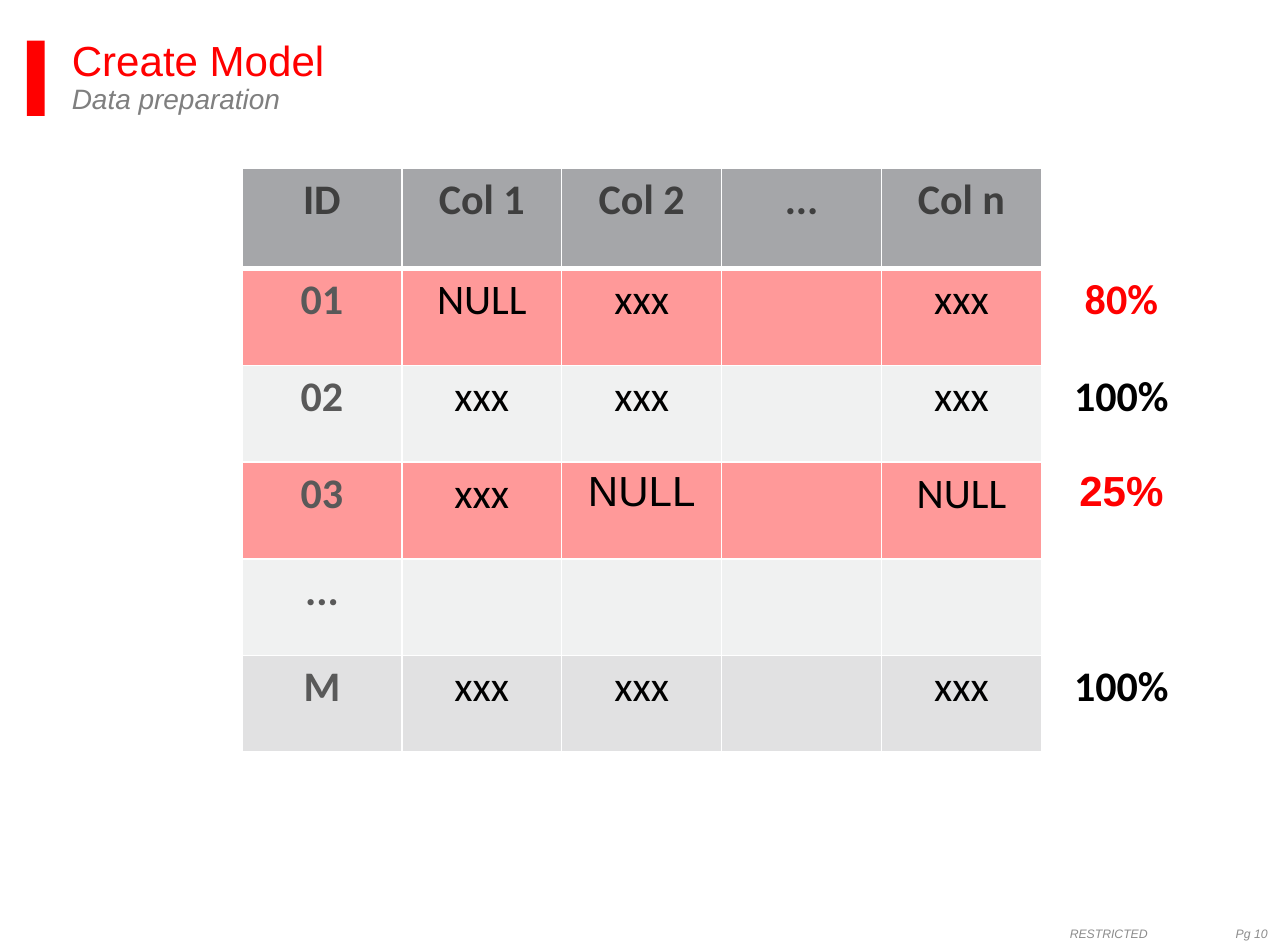
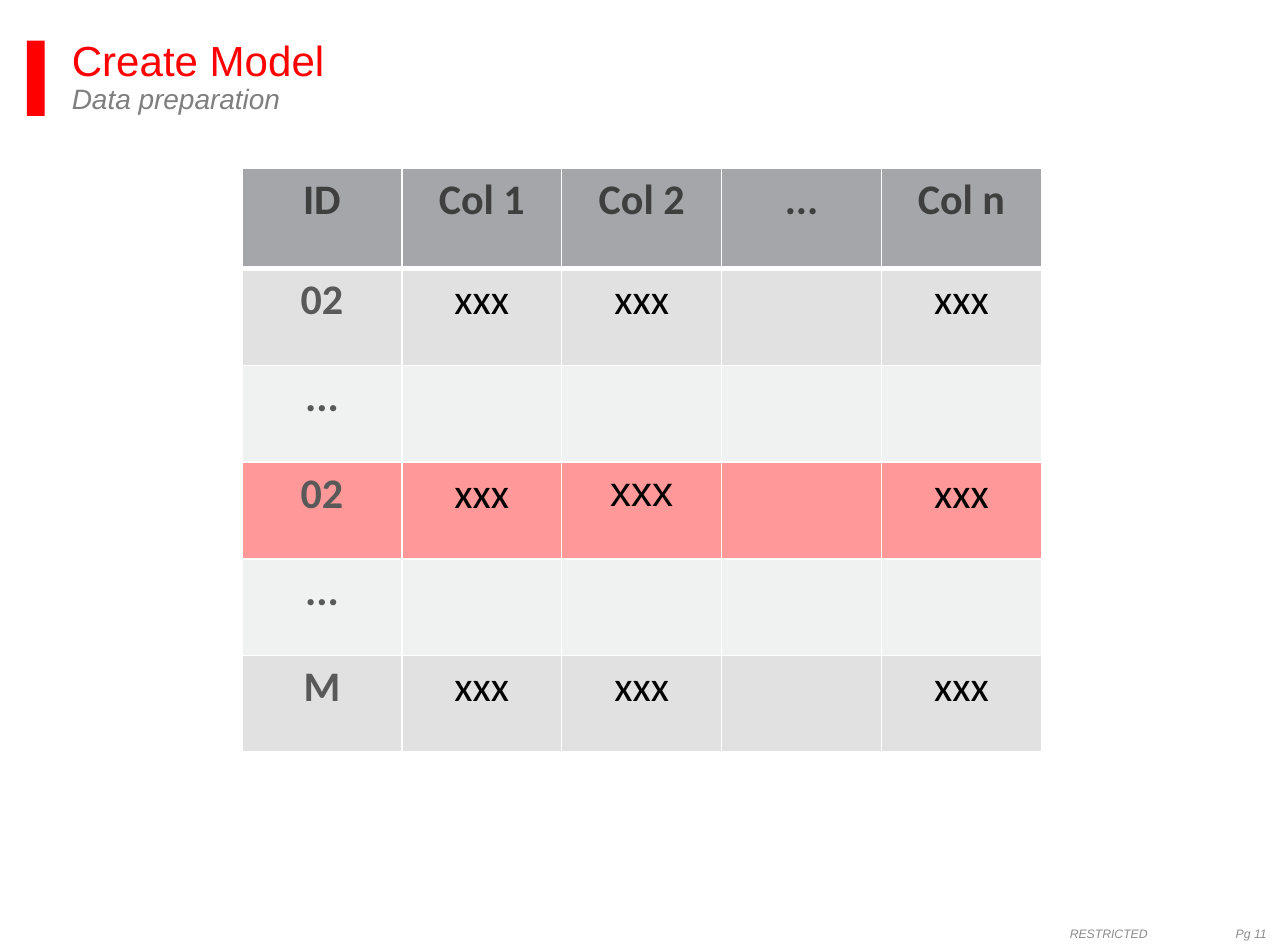
from lxml import etree
from pptx import Presentation
from pptx.dml.color import RGBColor
from pptx.enum.shapes import MSO_SHAPE
from pptx.enum.text import MSO_ANCHOR, MSO_AUTO_SIZE, PP_ALIGN
from pptx.oxml.ns import qn
from pptx.util import Pt

RECT = MSO_SHAPE.RECTANGLE
TOP, MID = MSO_ANCHOR.TOP, MSO_ANCHOR.MIDDLE
FIXED = MSO_AUTO_SIZE.NONE
LEFT, MIDST = PP_ALIGN.LEFT, PP_ALIGN.CENTER

COLORS = {
    "red": "FF0000", "sub": "7F7F7F", "foot": "8C8C8C", "white": "FFFFFF",
    "head": "A5A6A9", "ink": "3F3F3F", "key": "595959", "black": "000000",
    "pink": "FF9999", "pale": "F0F1F1", "gray": "E1E1E2",
}
TITLE = {"name": "Arial", "size": Pt(24), "bold": False}
SUB = {"name": "Arial", "size": Pt(16), "bold": False, "italic": True}
FOOT = {"name": "Arial", "size": Pt(7), "italic": True}
BARE = {"margin_left": 0, "margin_right": 0, "margin_top": 0, "word_wrap": True}

HEAD = ("head", ["ID", "Col 1", "Col 2", "...", "Col n", ""])
DOTS = ("pale", ["...", "", "", "", "", ""])
LAST = ("white", [""] * 6)
COLS, ROWS = 7, 7
RATE_COL = 6
ARIAL_CELLS = {(3, 3), (3, 6)}

PAGES = [
    (10, [
        HEAD,
        ("pink", ["01", "NULL", "xxx", "", "xxx", "80%"]),
        ("pale", ["02", "xxx", "xxx", "", "xxx", "100%"]),
        ("pink", ["03", "xxx", "NULL", "", "NULL", "25%"]),
        DOTS,
        ("gray", ["M", "xxx", "xxx", "", "xxx", "100%"]),
        LAST,
    ]),
    (11, [
        HEAD,
        ("gray", ["02", "xxx", "xxx", "", "xxx", ""]),
        DOTS,
        ("pink", ["02", "xxx", "xxx", "", "xxx", ""]),
        DOTS,
        ("gray", ["M", "xxx", "xxx", "", "xxx", ""]),
        LAST,
    ]),
]


def rgb(name):
    return RGBColor.from_string(COLORS[name])


def put(item, vals):
    for name, val in vals.items():
        setattr(item, name, val)


def add_run(para, text, style, color):
    run = para.add_run()
    run.text = text
    put(run.font, style)
    run.font.color.rgb = rgb(color)


def set_frame(slide, layout):
    bar = slide.shapes.add_shape(RECT, Pt(15.3), Pt(23.2), Pt(10.2), Pt(43))
    bar.shadow.inherit = False
    bar.fill.solid()
    bar.fill.fore_color.rgb = rgb("red")
    bar.line.fill.background()
    bar.element.nvSpPr.cNvPr.set("id", "90")
    layout.shapes.element.append(bar.element)
    title = layout.placeholders[0]
    put(title, {"left": Pt(41), "top": Pt(23), "width": Pt(684), "height": Pt(54)})
    put(title.text_frame, BARE | {
        "margin_bottom": Pt(1.4), "vertical_anchor": TOP, "auto_size": FIXED})


def add_title(slide):
    para = slide.shapes.title.text_frame.paragraphs[0]
    put(para, {"alignment": LEFT, "line_spacing": 0.9})
    add_run(para, "Create Model", TITLE, "red")
    para.add_line_break()
    add_run(para, "Data preparation", SUB, "sub")


def add_foot(slide, page):
    box = slide.shapes.add_textbox(Pt(610.5), Pt(518.4), Pt(122), Pt(28.8))
    put(box.text_frame, BARE | {"margin_bottom": 0, "vertical_anchor": MID})
    para = box.text_frame.paragraphs[0]
    para.alignment = LEFT
    tabs = etree.SubElement(para._p.get_or_add_pPr(), qn("a:tabLst"))
    etree.SubElement(tabs, qn("a:tab"), pos=str(Pt(94.7)), algn="l")
    add_run(para, f"RESTRICTED\tPg {page}", FOOT, "foot")


def add_edge(cell, row):
    props = cell._tc.get_or_add_tcPr()
    wide = {"T": row == 1, "B": row == 0}
    for spot, side in enumerate("LRTB"):
        width = Pt(3 if wide.get(side) else 1)
        line = etree.Element(qn(f"a:ln{side}"), w=str(width))
        fill = etree.SubElement(line, qn("a:solidFill"))
        etree.SubElement(fill, qn("a:srgbClr"), val=COLORS["white"])
        props.insert(spot, line)


def get_ink(row, col, text):
    if row == 0:
        return "ink"
    if col == 1:
        return "key"
    return "red" if col == RATE_COL and text != "100%" else "black"


def fill_cell(cell, row, col, text, fill):
    cell.fill.solid()
    cell.fill.fore_color.rgb = rgb(fill)
    add_edge(cell, row)
    if text:
        para = cell.text_frame.paragraphs[0]
        para.alignment = MIDST
        style = {
            "name": "Arial" if (row, col) in ARIAL_CELLS else "Calibri",
            "size": Pt(24),
            "bold": row == 0 or col in (1, RATE_COL),
        }
        add_run(para, text, style, get_ink(row, col, text))


def add_grid(slide, rows):
    table = slide.shapes.add_table(
        ROWS, COLS, Pt(46.8), Pt(95.8), Pt(638.75), Pt(388.8)).table
    table.horz_banding = False
    for col in table.columns:
        col.width = Pt(91.25)
    for row, (fill, texts) in enumerate(rows):
        table.rows[row].height = Pt(55.2 if row else 57.6)
        for col, text in enumerate(["", *texts]):
            shade = "white" if col in (0, RATE_COL) else fill
            fill_cell(table.cell(row, col), row, col, text, shade)


def main():
    prs = Presentation()
    put(prs, {"slide_width": Pt(735), "slide_height": Pt(540)})
    layout = prs.slide_layouts[5]
    for page, rows in PAGES:
        slide = prs.slides.add_slide(layout)
        if len(prs.slides) == 1:
            set_frame(slide, layout)
        add_title(slide)
        add_foot(slide, page)
        add_grid(slide, rows)
    prs.save("out.pptx")


main()
